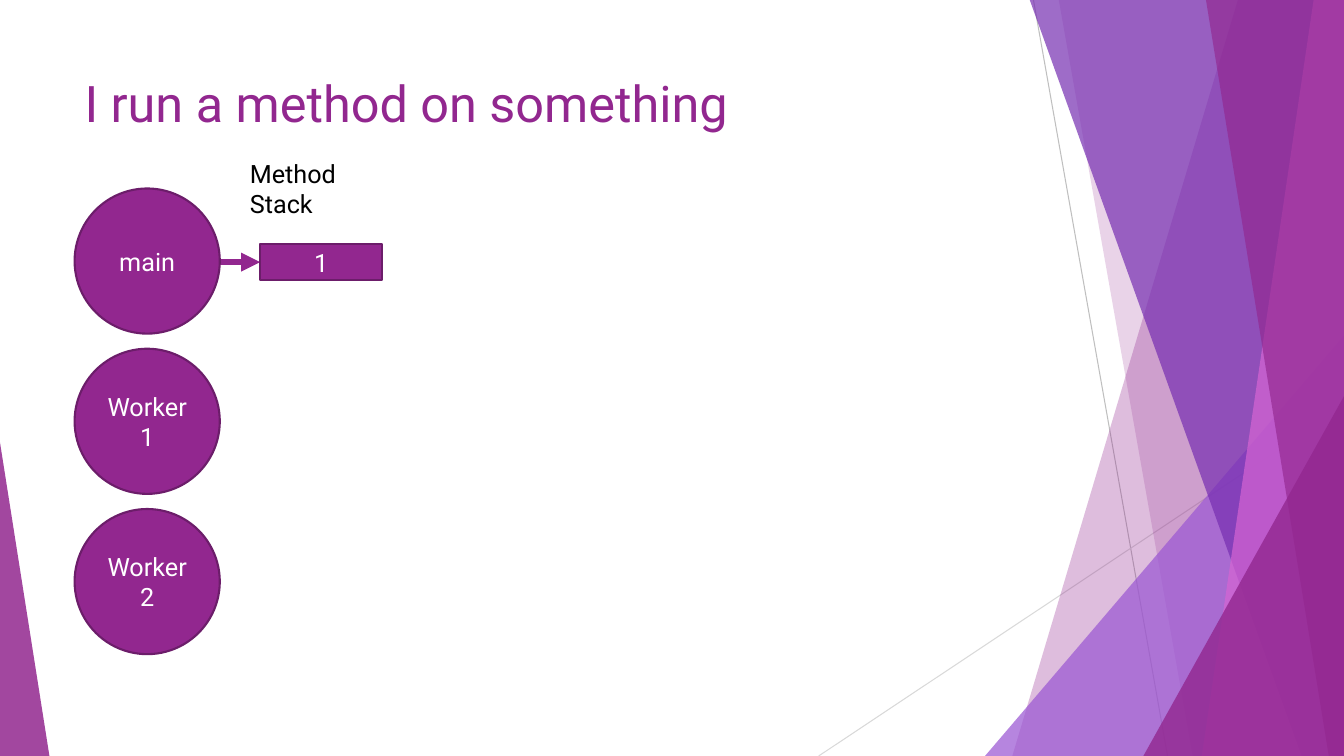
import pptx
import pptx.util
import pptx.dml.color
import pptx.enum.shapes
import pptx.enum.text
import pptx.oxml
import pptx.oxml.ns

Inch = pptx.util.Inches
Kind = pptx.enum.shapes.MSO_SHAPE
Text = pptx.enum.text
WIDE, HIGH = 13.33, 7.5
PURPLE, DARK = "92278F", "6C1D6A"

deck = pptx.Presentation()
deck.slide_width, deck.slide_height = Inch(WIDE), Inch(HIGH)
slide = deck.slides.add_slide(deck.slide_layouts[6])
shapes = slide.shapes


def paint(style, color, alpha=100):
    """Give a fill a solid color, with an opacity in percent."""
    style.solid()
    style.fore_color.rgb = pptx.dml.color.RGBColor.from_string(color)
    if alpha < 100:
        tint = style._xPr.find(".//" + pptx.oxml.ns.qn("a:srgbClr"))
        pptx.oxml.ns.qn("a:alpha")
        node = tint.makeelement(pptx.oxml.ns.qn("a:alpha"), {"val": str(alpha * 1000)})
        tint.append(node)


def write(shape, words, size, color):
    """Put one paragraph of text in a shape."""
    shape.text_frame.word_wrap = True
    para = shape.text_frame.paragraphs[0]
    para.text = words
    para.font.name, para.font.size = "Roboto", pptx.util.Pt(size)
    paint(para.font.fill, color)
    return para


# Lines: thin ones behind the facets, then the arrow from main to its stack
mid, step = 2.6, 1.59
left, size, stack = 0.74, 1.44, 2.58
lines = [
    (10.25, 0, 11.58, HIGH, "BFBFBF", 0.75),
    (WIDE, 4.03, 8.12, HIGH, "D9D9D9", 0.75),
    (left + size, mid, stack, mid, PURPLE, 4.5),
]
for x1, y1, x2, y2, color, width in lines:
    line = shapes.add_connector(
        pptx.enum.shapes.MSO_CONNECTOR.STRAIGHT, Inch(x1), Inch(y1), Inch(x2), Inch(y2)
    )
    line.line.width = pptx.util.Pt(width)
    paint(line.line.fill, color)
    props = line._element.spPr
    props.append(props.makeelement(pptx.oxml.ns.qn("a:effectLst"), {}))
edge = line.line._get_or_add_ln()
edge.append(edge.makeelement(pptx.oxml.ns.qn("a:tailEnd"), {"type": "triangle"}))

# Facets: sheets run from a top x to a bottom x, peaks have a box and a tip
facets = [
    ("sheet", (12.28, 10.04), PURPLE, 30),
    ("sheet", (10.5, 11.83), PURPLE, 20),
    ("peak", (9.77, 3.33, WIDE, 1), "9B57D3", 72),
    ("sheet", (10.21, 12.91), "762EB1", 70),
    ("sheet", (13.03, 11.92), "D665D3", 70),
    ("sheet", (11.96, 13.18), PURPLE, 65),
    ("peak", (11.34, 3.93, WIDE, 1), PURPLE, 80),
    ("peak", (0, 4.39, 0.49, 0), PURPLE, 85),
]
for kind, place, color, alpha in facets:
    if kind == "sheet":
        top, foot = place
        pen = shapes.build_freeform(Inch(top), Inch(-0.01))
        ends = [(WIDE, -0.01), (WIDE, HIGH), (foot, HIGH)]
        pen.add_line_segments([(Inch(x), Inch(y)) for x, y in ends])
        facet = pen.convert_to_shape()
    else:
        x, y, right, tip = place
        facet = shapes.add_shape(
            Kind.ISOSCELES_TRIANGLE, Inch(x), Inch(y), Inch(right - x), Inch(HIGH - y)
        )
        facet.adjustments[0] = tip
    paint(facet.fill, color, alpha)
    facet.line.fill.background()
    facet.shadow.inherit = False

# Title and stack label
title = shapes.add_textbox(Inch(left), Inch(0.67), Inch(9.4), Inch(size))
write(title, "I run a method on something", 36, PURPLE)
label = shapes.add_textbox(Inch(2.38), Inch(1.52), Inch(1.71), Inch(0.4))
label.text_frame.margin_right = Inch(0.2)
write(label, "Method Stack", 18, "000000")

# Threads in a column, and the first stack entry
nodes = [
    (Kind.OVAL, left, 1.87 + row * step, size, size, name)
    for row, name in enumerate(["main", "Worker 1", "Worker 2"])
]
nodes.append((Kind.RECTANGLE, stack, mid - 0.18, 1.21, 0.36, "1"))
for kind, x, y, wide, high, name in nodes:
    node = shapes.add_shape(kind, Inch(x), Inch(y), Inch(wide), Inch(high))
    node.shadow.inherit = False
    paint(node.fill, PURPLE)
    paint(node.line.fill, DARK)
    node.line.width = pptx.util.Pt(1.5)
    node.text_frame.vertical_anchor = Text.MSO_ANCHOR.MIDDLE
    write(node, name, 18, "FFFFFF").alignment = Text.PP_ALIGN.CENTER

deck.save("out.pptx")
